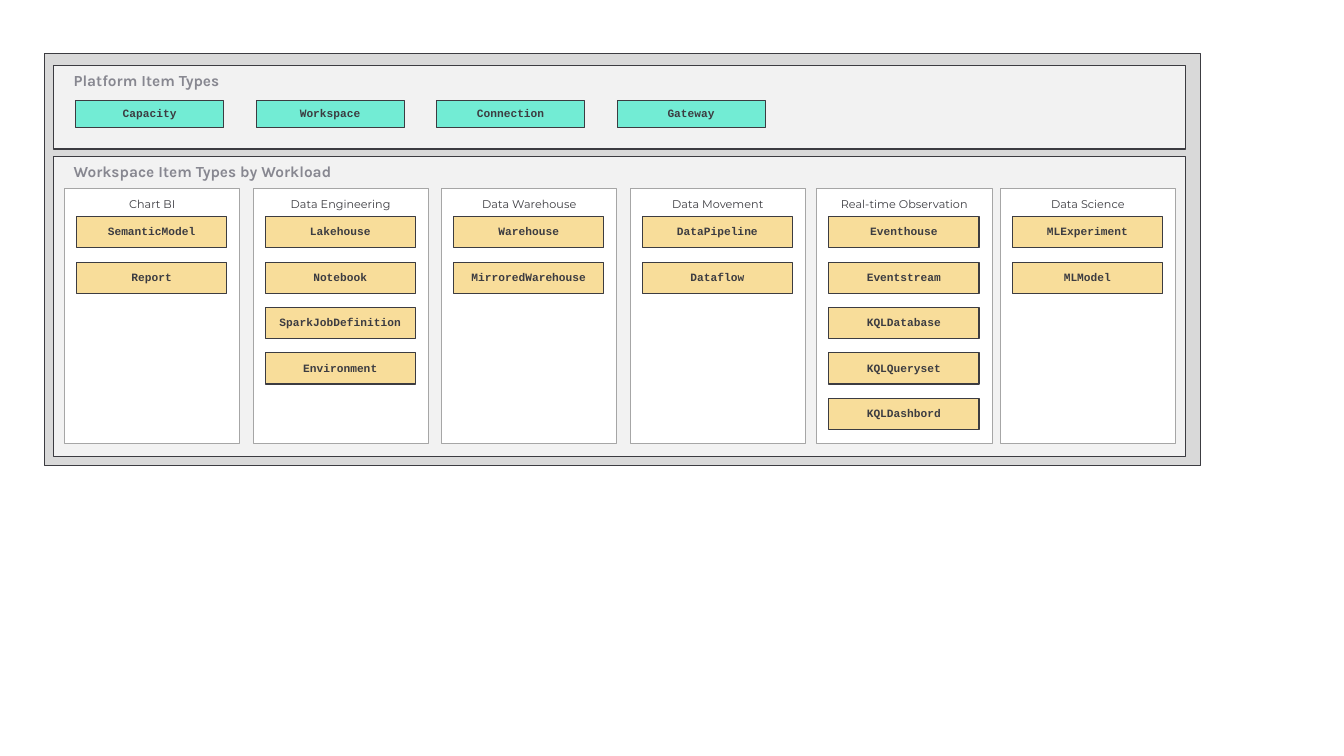
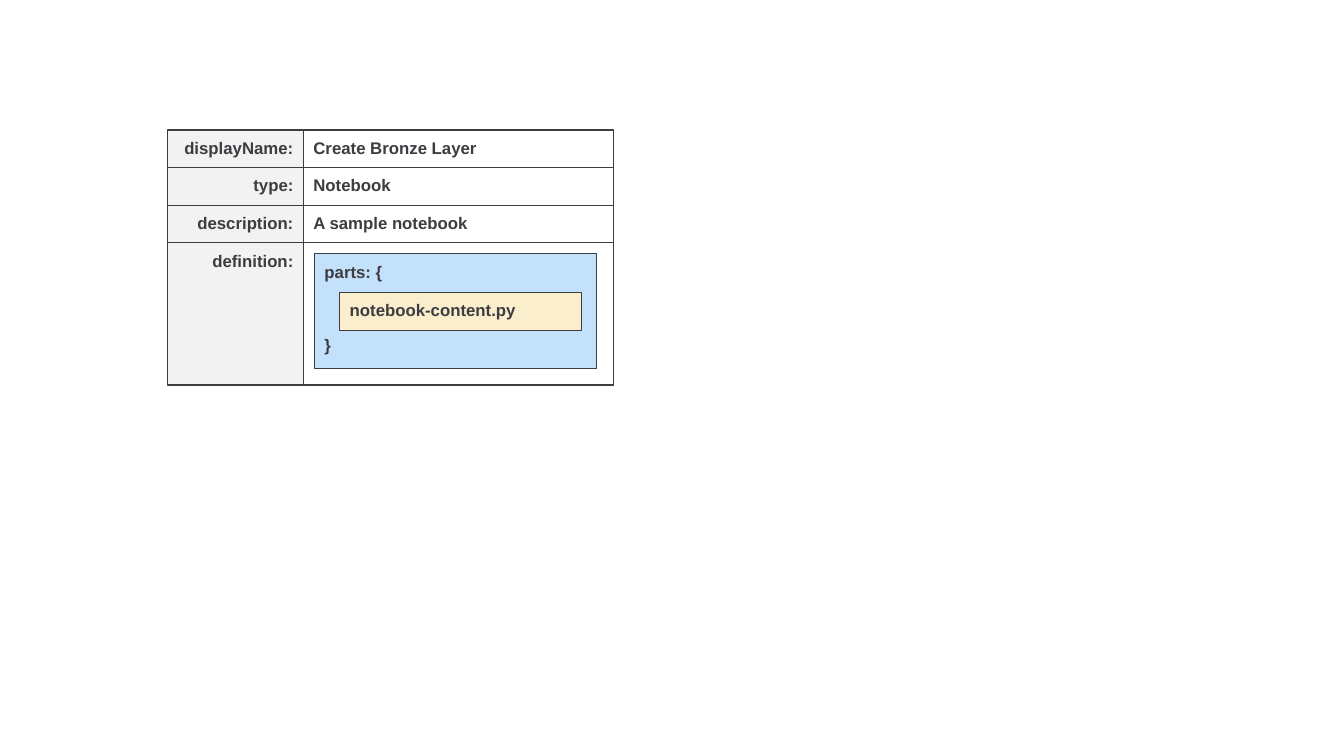
from pptx import Presentation
from pptx.dml.color import RGBColor
from pptx.enum import shapes, text
from pptx.util import Inches, Pt

INK, GREY, EDGE = "3C3C41", "878790", "A6A6A6"
WHITE, PANEL, FRAME = "FFFFFF", "F2F2F2", "D9D9D9"
TEAL, AMBER, BLUE, CREAM = "72ECD4", "F8DD9A", "C3E1FB", "FBEECD"

LEFT, CENTER, RIGHT = text.PP_ALIGN.LEFT, text.PP_ALIGN.CENTER, text.PP_ALIGN.RIGHT
TOP, MIDDLE = text.MSO_ANCHOR.TOP, text.MSO_ANCHOR.MIDDLE

HEADING = dict(font="Karla", size=11, bold=True, color=GREY)
WORKLOAD = dict(font="Montserrat", size=8, bold=False, color=INK)
CODE = dict(font="Courier New", size=8, bold=True, color=INK)
FIELD = dict(font="Arial", size=12, bold=True, color=INK)

PLATFORM_ITEMS = ["Capacity", "Workspace", "Connection", "Gateway"]
WORKLOADS = [
    (0.64, "Chart BI", ["SemanticModel", "Report"]),
    (2.51, "Data Engineering", ["Lakehouse", "Notebook", "SparkJobDefinition", "Environment"]),
    (4.38, "Data Warehouse", ["Warehouse", "MirroredWarehouse"]),
    (6.25, "Data Movement", ["DataPipeline", "Dataflow"]),
    (8.1, "Real-time Observation",
     ["Eventhouse", "Eventstream", "KQLDatabase", "KQLQueryset", "KQLDashbord"]),
    (9.92, "Data Science", ["MLExperiment", "MLModel"]),
]
NOTEBOOK_FIELDS = [
    ("displayName:", "Create Bronze Layer"),
    ("type:", "Notebook"),
    ("description:", "A sample notebook"),
]


def rgb(value):
    return RGBColor.from_string(value)


def add_box(slide, at, fill, line=INK, weight=0.75):
    box = slide.shapes.add_shape(shapes.MSO_SHAPE.RECTANGLE, *map(Inches, at))
    box.shadow.inherit = False
    box.fill.solid()
    box.fill.fore_color.rgb = rgb(fill)
    box.line.color.rgb = rgb(line)
    box.line.width = Pt(weight)
    return box


def write(box, words, style, align=LEFT, anchor=MIDDLE, insets=(0, 0, 0, 0)):
    frame = box.text_frame
    frame.word_wrap = True
    frame.vertical_anchor = anchor
    (frame.margin_left, frame.margin_top,
     frame.margin_right, frame.margin_bottom) = map(Inches, insets)
    frame.text = words
    for paragraph in frame.paragraphs:
        paragraph.alignment = align
        paragraph.line_spacing = 0.9
        for run in paragraph.runs:
            run.font.name = style["font"]
            run.font.size = Pt(style["size"])
            run.font.bold = style["bold"]
            run.font.color.rgb = rgb(style["color"])


def add_panel(slide, at, heading):
    panel = add_box(slide, at, PANEL, weight=1)
    write(panel, heading, HEADING, anchor=TOP, insets=(0.2, 0.08, 0.2, 0.16))


def add_item(slide, at, name, fill):
    write(add_box(slide, at, fill), name, CODE, CENTER)


def add_platform_panel(slide, left, top, width, height):
    add_panel(slide, (left, top, width, height), "Platform Item Types")
    for i, name in enumerate(PLATFORM_ITEMS):
        add_item(slide, (left + 0.22 + i * 1.79, top + 0.35, 1.47, 0.27), name, TEAL)


def add_workload(slide, left, top, width, height, title, items):
    column = add_box(slide, (left, top, width, height), WHITE, EDGE)
    write(column, title, WORKLOAD, CENTER, TOP, (0.2, 0.1, 0.2, 0.16))
    for i, name in enumerate(items):
        add_item(slide, (left + 0.12, top + 0.28 + i * 0.45, width - 0.25, 0.31), name, AMBER)


def add_workspace_panel(slide, left, top, width, height):
    add_panel(slide, (left, top, width, height), "Workspace Item Types by Workload")
    for column_left, title, items in WORKLOADS:
        add_workload(slide, column_left, top + 0.32, 1.74, 2.53, title, items)


def build_item_types(slide):
    left, top, width, height = 0.44, 0.53, 11.47, 4.09
    add_box(slide, (left, top, width, height), FRAME, weight=1)
    add_platform_panel(slide, left + 0.09, top + 0.12, width - 0.24, 0.83)
    add_workspace_panel(slide, left + 0.09, top + 1.02, width - 0.24, 2.98)


def add_parts(slide, left, top, width, height):
    parts = add_box(slide, (left, top, width, height), BLUE)
    write(parts, "parts: {\n}", FIELD, anchor=TOP, insets=(0.1, 0.1, 0.1, 0))
    parts.text_frame.paragraphs[1].space_before = Pt(39)
    content = add_box(slide, (left + 0.25, top + 0.38, width - 0.4, 0.38), CREAM)
    write(content, "notebook-content.py", FIELD, insets=(0.1, 0, 0, 0))


def build_notebook_item(slide):
    left, top, label_width, value_width = 1.66, 1.29, 1.35, 3.08
    definition_top, definition_height = 2.41, 1.41
    row_height = (definition_top - top) / len(NOTEBOOK_FIELDS)
    value_left = left + label_width
    for i, (label, value) in enumerate(NOTEBOOK_FIELDS):
        row_top = top + i * row_height
        label_box = add_box(slide, (left, row_top, label_width, row_height), PANEL)
        write(label_box, label, FIELD, RIGHT, insets=(0, 0, 0.1, 0))
        value_box = add_box(slide, (value_left, row_top, value_width, row_height), WHITE)
        write(value_box, value, FIELD, insets=(0.1, 0, 0.1, 0))

    definition = add_box(slide, (left, definition_top, label_width, definition_height), PANEL)
    write(definition, "definition:", FIELD, RIGHT, TOP, (0, 0.1, 0.1, 0))
    add_box(slide, (value_left, definition_top, value_width, definition_height), WHITE)
    add_parts(slide, value_left + 0.11, definition_top + 0.11, 2.8, 1.14)


def main():
    deck = Presentation()
    deck.slide_width, deck.slide_height = Inches(13.33), Inches(7.5)
    for build in (build_item_types, build_notebook_item):
        build(deck.slides.add_slide(deck.slide_layouts[6]))
    deck.save("out.pptx")


if __name__ == "__main__":
    main()
